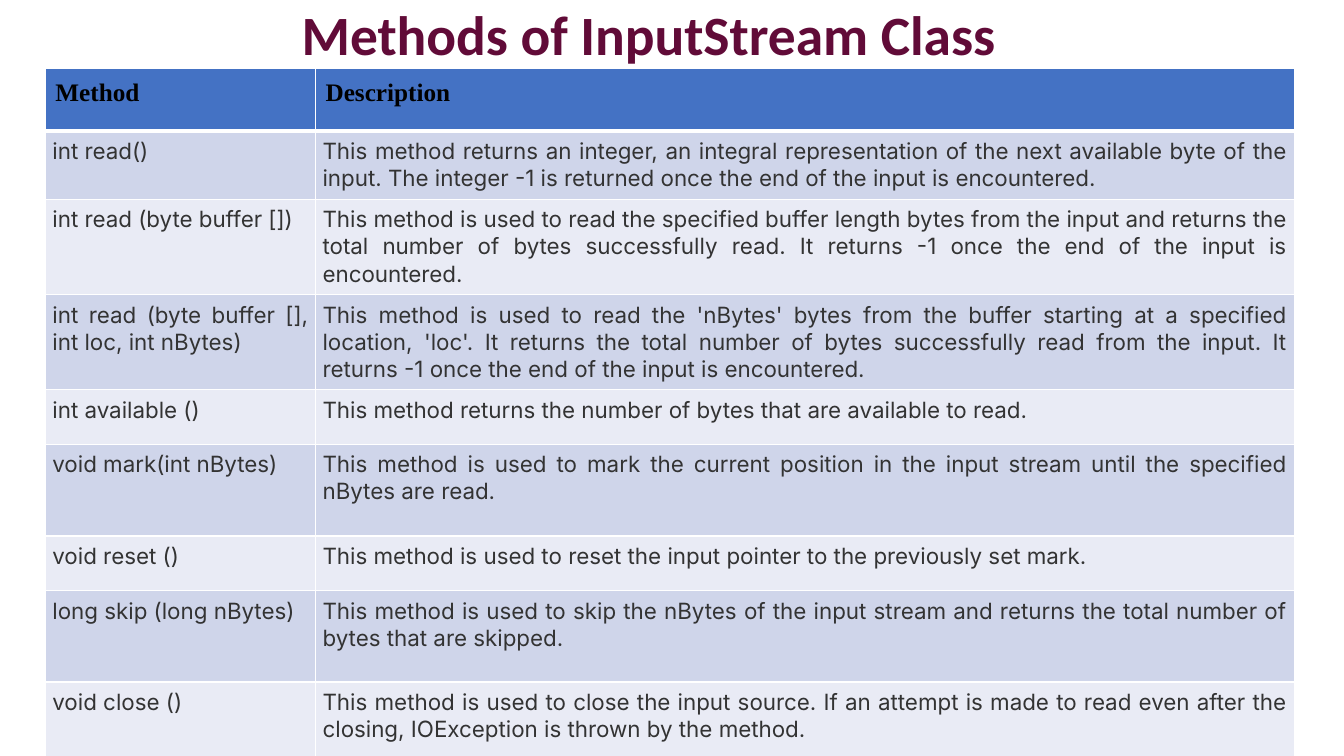
"""Build a slide with a table of the InputStream class methods."""
from lxml.etree import SubElement
from pptx import Presentation
from pptx.dml.color import RGBColor
from pptx.enum.text import MSO_ANCHOR, PP_ALIGN
from pptx.oxml.ns import qn
from pptx.util import Inches, Pt

COLORS = {
    "title": "610B38", "header": "4472C4", "odd": "CFD5EA", "even": "E9EBF5",
    "border": "FFFFFF", "heading": "000000", "body": "333333",
}
ROWS = [
    ("Method", "Description", 0.62),
    ("int read()",
     "This method returns an integer, an integral representation of the next available "
     "byte of the input. The integer -1 is returned once the end of the input is "
     "encountered.", 0.54),
    ("int read (byte buffer [])",
     "This method is used to read the specified buffer length bytes from the input and "
     "returns the total number of bytes successfully read. It returns -1 once the end of "
     "the input is encountered.", 0.54),
    ("int read (byte buffer [], int loc, int nBytes)",
     "This method is used to read the 'nBytes' bytes from the buffer starting at a "
     "specified location, 'loc'. It returns the total number of bytes successfully read "
     "from the input. It returns -1 once the end of the input is encountered.", 0.54),
    ("int available ()",
     "This method returns the number of bytes that are available to read.", 0.54),
    ("void mark(int nBytes)",
     "This method is used to mark the current position in the input stream until the "
     "specified nBytes are read.", 0.91),
    ("void reset ()",
     "This method is used to reset the input pointer to the previously set mark.", 0.54),
    ("long skip (long nBytes)",
     "This method is used to skip the nBytes of the input stream and returns the total "
     "number of bytes that are skipped.", 0.91),
    ("void close ()",
     "This method is used to close the input source. If an attempt is made to read even "
     "after the closing, IOException is thrown by the method.", 0.91),
]


def set_font(p, name, size, color, bold):
    p.font.name, p.font.size, p.font.bold = name, Pt(size), bold
    p.font.color.rgb = RGBColor.from_string(COLORS[color])


def set_borders(cell, widths):
    tcPr = cell._tc.get_or_add_tcPr()
    for side, width in widths.items():
        ln = SubElement(tcPr, qn(f"a:ln{side}"), w=str(Pt(width)))
        fill = SubElement(ln, qn("a:solidFill"))
        SubElement(fill, qn("a:srgbClr"), val=COLORS["border"])


prs = Presentation()
prs.slide_width, prs.slide_height = Inches(13.33), Inches(7.5)
s = prs.slides.add_slide(prs.slide_layouts[5])

title = s.shapes.title
title.left, title.top = Inches(0.45), Inches(0)
title.width, title.height = Inches(11.97), Inches(0.74)
tf = title.text_frame
tf.text = "Methods of InputStream Class"
tf.vertical_anchor = MSO_ANCHOR.MIDDLE
p = tf.paragraphs[0]
p.alignment = PP_ALIGN.CENTER
p.line_spacing = 0.9
set_font(p, "Calibri", 39.6, "title", True)

table = s.shapes.add_table(len(ROWS), 2, Inches(0.45), Inches(0.68),
                           Inches(12.39), Inches(6.05)).table
for column, width in zip(table.columns, (2.68, 9.71)):
    column.width = Inches(width)

for i, (method, description, height) in enumerate(ROWS):
    table.rows[i].height = Inches(height)
    is_header = i == 0
    band = "header" if is_header else "odd" if i % 2 else "even"
    inset = Inches(0.1 if is_header else 0.07)
    for j, text in enumerate((method, description)):
        cell = table.cell(i, j)
        cell.text = text
        cell.margin_left = cell.margin_right = inset
        cell.margin_top = cell.margin_bottom = inset
        set_borders(cell, {"L": 1, "R": 1, "T": 3 if i == 1 else 1,
                           "B": 3 if is_header else 1})
        cell.fill.solid()
        cell.fill.fore_color.rgb = RGBColor.from_string(COLORS[band])
        p = cell.text_frame.paragraphs[0]
        if is_header:
            set_font(p, "Times New Roman", 18, "heading", True)
        else:
            p.alignment = PP_ALIGN.JUSTIFY
            set_font(p, "Inter", 16, "body", False)

prs.save("out.pptx")
